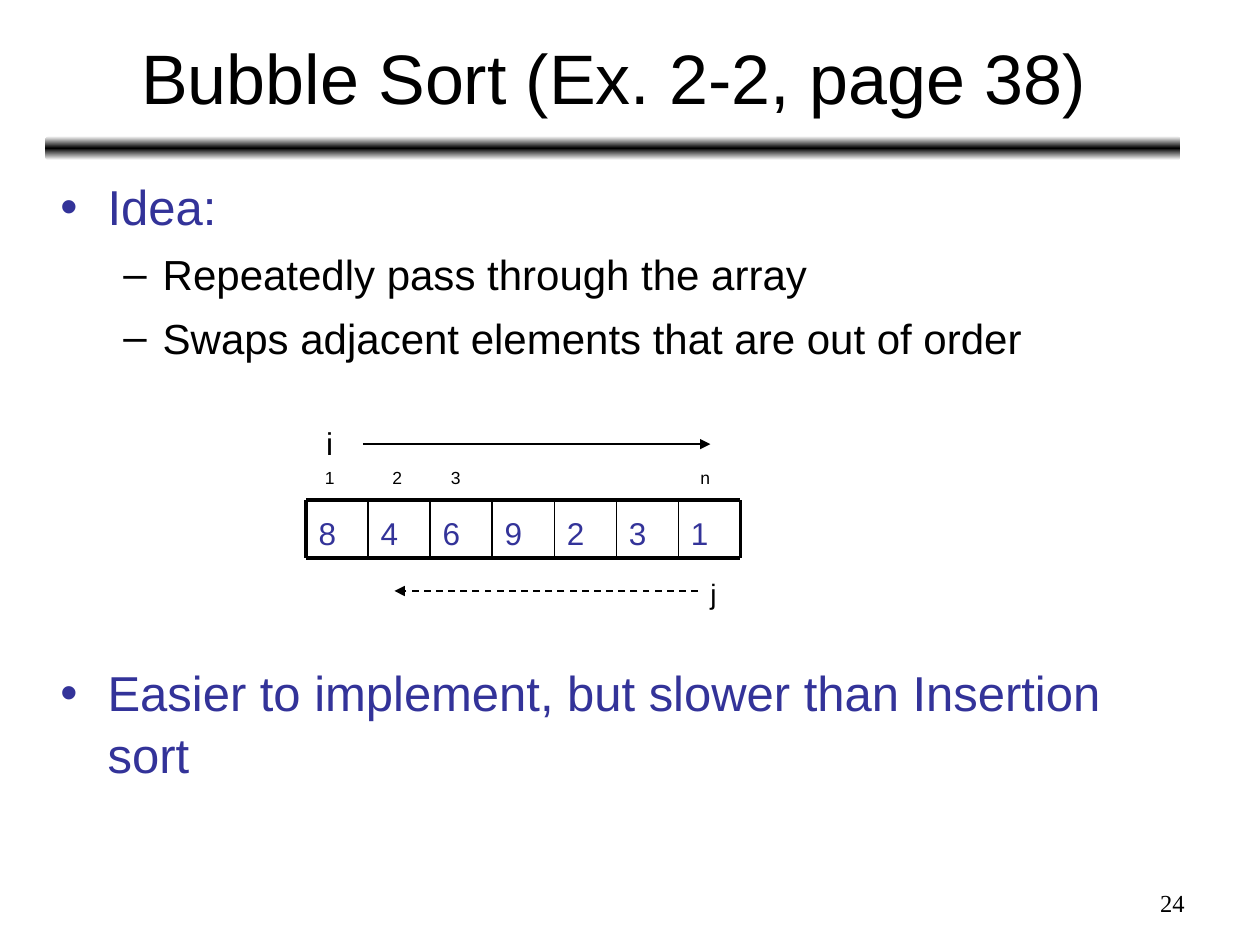
from lxml import etree
from pptx import Presentation, util as u
from pptx.dml.color import RGBColor
from pptx.enum import dml, shapes, text
from pptx.oxml.ns import qn

COLORS = {"black": "000000", "white": "FFFFFF", "indigo": "333399"}
VALUES = "8469231"
GRID = {"left": 175, "top": 285.9, "width": 35.45, "height": 33.1}


def color(name):
    """Return a named colour."""
    return RGBColor.from_string(COLORS[name])


def add_xml(parent, tag, **attributes):
    """Append one drawing element."""
    return etree.SubElement(parent, qn(tag), attributes)


def style_paragraph(para, words, size, ink="black", font="Arial", **formats):
    """Write one run and apply paragraph formats."""
    span = para.add_run()
    span.text = words
    for name, value in {"size": u.Pt(size), "name": font}.items():
        setattr(span.font, name, value)
    span.font.color.rgb = color(ink)
    for name, value in formats.items():
        setattr(para, name, value)


def add_label(page, words, place, size, anchor="TOP", wrap=True, **formats):
    """Add a text box with one paragraph."""
    box = page.shapes.add_textbox(*map(u.Pt, place))
    frame = box.text_frame
    frame.word_wrap = wrap
    frame.vertical_anchor = getattr(text.MSO_ANCHOR, anchor)
    style_paragraph(frame.paragraphs[0], words, size, **formats)


def add_line(page, start, end, width, arrow=False, dashed=False):
    """Add a straight line, optionally with an arrowhead."""
    line = page.shapes.add_connector(
        shapes.MSO_CONNECTOR.STRAIGHT, *map(u.Pt, (*start, *end)))
    line.line.color.rgb = color("black")
    line.line.width = u.Pt(width)
    if dashed:
        line.line.dash_style = dml.MSO_LINE.DASH
    if arrow:
        add_xml(line.line._get_or_add_ln(), "a:tailEnd", type="triangle")
    add_xml(line._element.spPr, "a:effectLst")


def add_title_bar(page):
    """Add the bar that fades from its dark middle to both edges."""
    bar = page.shapes.add_shape(
        shapes.MSO_SHAPE.ROUNDED_RECTANGLE, *map(u.Pt, (25.9, 77.8, 648.7, 13.7)))
    bar.shadow.inherit = False
    bar.line.fill.background()
    bar.fill.gradient()
    bar.fill.gradient_angle = 90
    stops = bar.fill._fill._gradFill.find(qn("a:gsLst"))
    for stop in list(stops):
        stops.remove(stop)
    for position, name in ((0, "white"), (50000, "black"), (100000, "white")):
        stop = add_xml(stops, "a:gs", pos=str(position))
        add_xml(stop, "a:srgbClr", val=COLORS[name])


def add_bullets(page, items):
    """Add the two-level bullet list."""
    levels = ({"size": 28, "ink": "indigo", "mark": "•", "margin": 27, "hang": 27},
              {"size": 24, "ink": "black", "mark": "–", "margin": 58.5, "hang": 22.5})
    box = page.shapes.add_textbox(*map(u.Pt, (27.4, 95.8, 648, 399.6)))
    frame = box.text_frame
    frame.word_wrap = True
    for index, (level, words, gap) in enumerate(items):
        para = frame.add_paragraph() if index else frame.paragraphs[0]
        look = levels[level]
        style_paragraph(para, words, look["size"], look["ink"], level=level,
                        space_before=u.Pt(gap), line_spacing=1.05)
        props = para._p.get_or_add_pPr()
        props.set("marL", str(u.Pt(look["margin"])))
        props.set("indent", str(-u.Pt(look["hang"])))
        add_xml(add_xml(props, "a:buClr"), "a:srgbClr", val=COLORS[look["ink"]])
        add_xml(props, "a:buFont", typeface="Arial")
        add_xml(props, "a:buChar", char=look["mark"])


def add_array(page):
    """Add the array cells, their values and their borders."""
    left, top, width, height = GRID.values()
    count = len(VALUES)
    right, bottom = left + count * width, top + height
    for index, value in enumerate(VALUES):
        add_label(page, value, (left + index * width, top, width, height), 18,
                  anchor="BOTTOM", ink="indigo", space_before=u.Pt(4.5))
    for y in (top, bottom):
        add_line(page, (left, y), (right, y), 2.25)
    for index in range(count + 1):
        x = left + index * width
        add_line(page, (x, top), (x, bottom), 2.25 if index in (0, count) else 1)


def add_indices(page):
    """Add the positions and the two loop variables with their arrows."""
    for words, x in (("1", 178.6), ("2", 217.1), ("3", 250.6), ("n", 393.1)):
        add_label(page, words, (x, 263.5, 18, 19.4), 10)
    add_label(page, "i", (179.3, 239, 18, 28.8), 18, wrap=False)
    add_line(page, (207.4, 253.8), (406, 253.8), 0.75, arrow=True)
    add_label(page, "j", (398.9, 326.2, 18, 26.6), 16, wrap=False)
    add_line(page, (398.9, 337.7), (225.4, 337.7), 1, arrow=True, dashed=True)


def main():
    """Build and save the slide."""
    deck = Presentation()
    deck.slide_width, deck.slide_height = u.Pt(720), u.Pt(540)
    page = deck.slides.add_slide(deck.slide_layouts[6])
    add_title_bar(page)
    add_label(page, "Bubble Sort (Ex. 2-2, page 38)", (26.6, 7.9, 648, 71.3), 40,
              anchor="MIDDLE", alignment=text.PP_ALIGN.CENTER)
    add_bullets(page, (
        (0, "Idea:", 7),
        (1, "Repeatedly pass through the array", 6),
        (1, "Swaps adjacent elements that are out of order", 6),
        (0, "Easier to implement, but slower than Insertion sort", 170)))
    add_indices(page)
    add_array(page)
    add_label(page, "24", (516.2, 504, 167.8, 25.2), 14, font="Times New Roman",
              alignment=text.PP_ALIGN.RIGHT)
    deck.save("out.pptx")


main()
